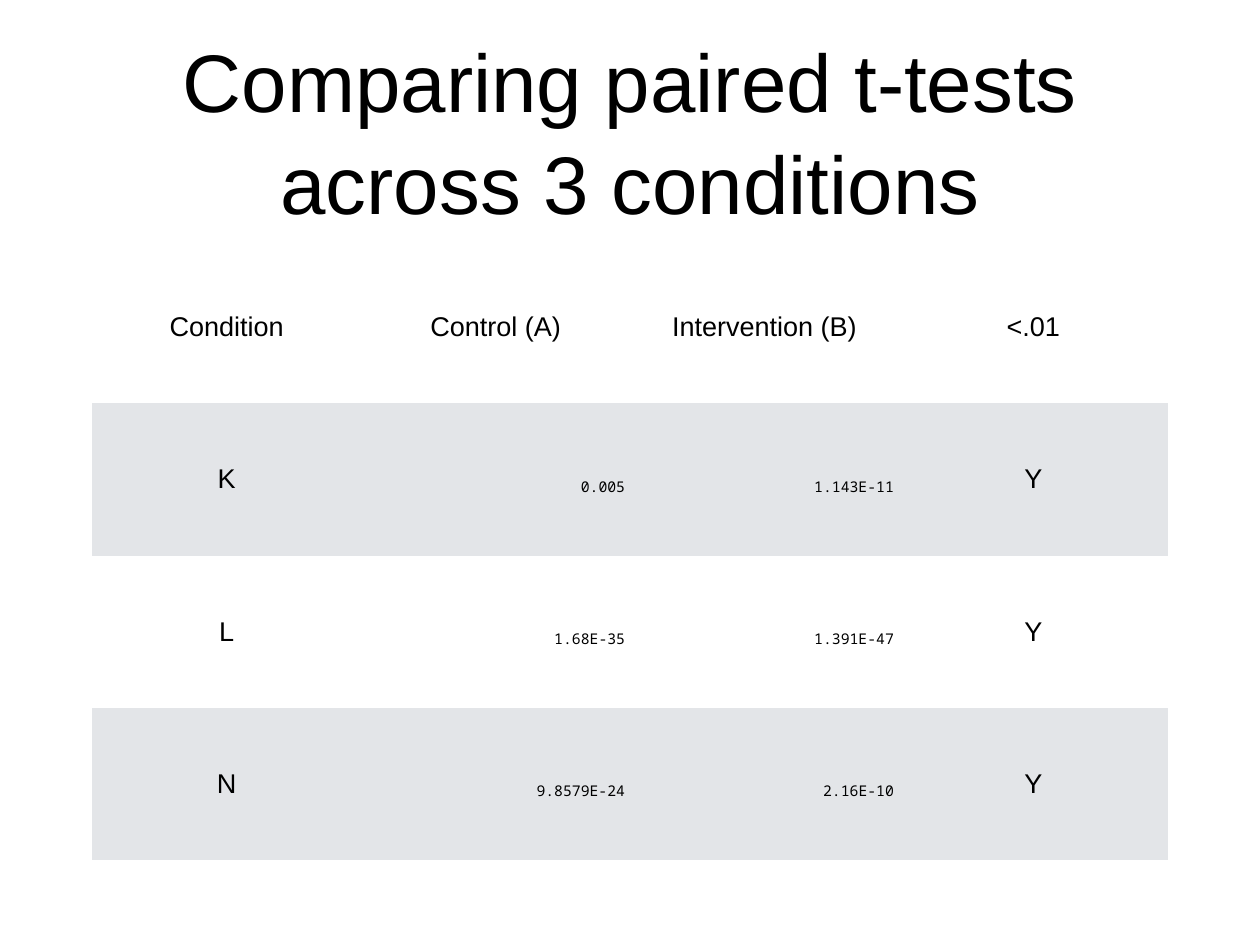
from pptx import Presentation
from pptx.dml.color import RGBColor
from pptx.enum.text import MSO_ANCHOR, MSO_AUTO_SIZE, PP_ALIGN
from pptx.util import Pt

BLACK = RGBColor(0x00, 0x00, 0x00)
WHITE = RGBColor(0xFF, 0xFF, 0xFF)
BAND = RGBColor(0xE3, 0xE5, 0xE8)
PLAIN_STYLE = "{2D5ABB26-0587-4C30-8999-92F81FD0307C}"
INSET = Pt(4)

TITLE = "Comparing paired t-tests across 3 conditions"
ROWS = [
    ("Condition", "Control (A)", "Intervention (B)", "<.01"),
    ("K", "0.005", "1.143E-11", "Y"),
    ("L", "1.68E-35", "1.391E-47", "Y"),
    ("N", "9.8579E-24", "2.16E-10", "Y"),
]
LABEL = dict(size=22)
VALUE = dict(size=12, font="Noto Sans Mono", align=PP_ALIGN.RIGHT, spacing=Pt(28))


def write(tf, text, size, font="Arial", align=PP_ALIGN.CENTER, spacing=None):
    p = tf.paragraphs[0]
    p.alignment = align
    p.line_spacing = spacing
    r = p.add_run()
    r.text = text
    r.font.size = Pt(size)
    r.font.name = font
    r.font.color.rgb = BLACK


def set_insets(box):
    box.margin_left = box.margin_right = INSET
    box.margin_top = box.margin_bottom = INSET
    box.vertical_anchor = MSO_ANCHOR.MIDDLE


def place_title(s, x, y, w, h):
    sp = s.shapes.title
    sp.left, sp.top, sp.width, sp.height = Pt(x), Pt(y), Pt(w), Pt(h)
    tf = sp.text_frame
    tf.word_wrap = True
    tf.auto_size = MSO_AUTO_SIZE.NONE
    set_insets(tf)
    write(tf, TITLE, size=66.4, spacing=1.04)


def place_results(s, x, y, w, h):
    table = s.shapes.add_table(
        len(ROWS), len(ROWS[0]), Pt(x), Pt(y), Pt(w), Pt(h)).table
    table._tbl.tblPr[0].text = PLAIN_STYLE
    for i, row in enumerate(ROWS):
        for j, text in enumerate(row):
            cell = table.cell(i, j)
            set_insets(cell)
            cell.fill.solid()
            cell.fill.fore_color.rgb = BAND if i % 2 else WHITE
            is_value = i > 0 and j in (1, 2)
            write(cell.text_frame, text, **(VALUE if is_value else LABEL))


def main():
    prs = Presentation()
    prs.slide_width, prs.slide_height = Pt(1024), Pt(768)
    s = prs.slides.add_slide(prs.slide_layouts[5])
    s.background.fill.solid()
    s.background.fill.fore_color.rgb = WHITE
    place_title(s, 75, 20, 874, 170)
    place_results(s, 75, 204, 874, 495)
    prs.save("out.pptx")


if __name__ == "__main__":
    main()
